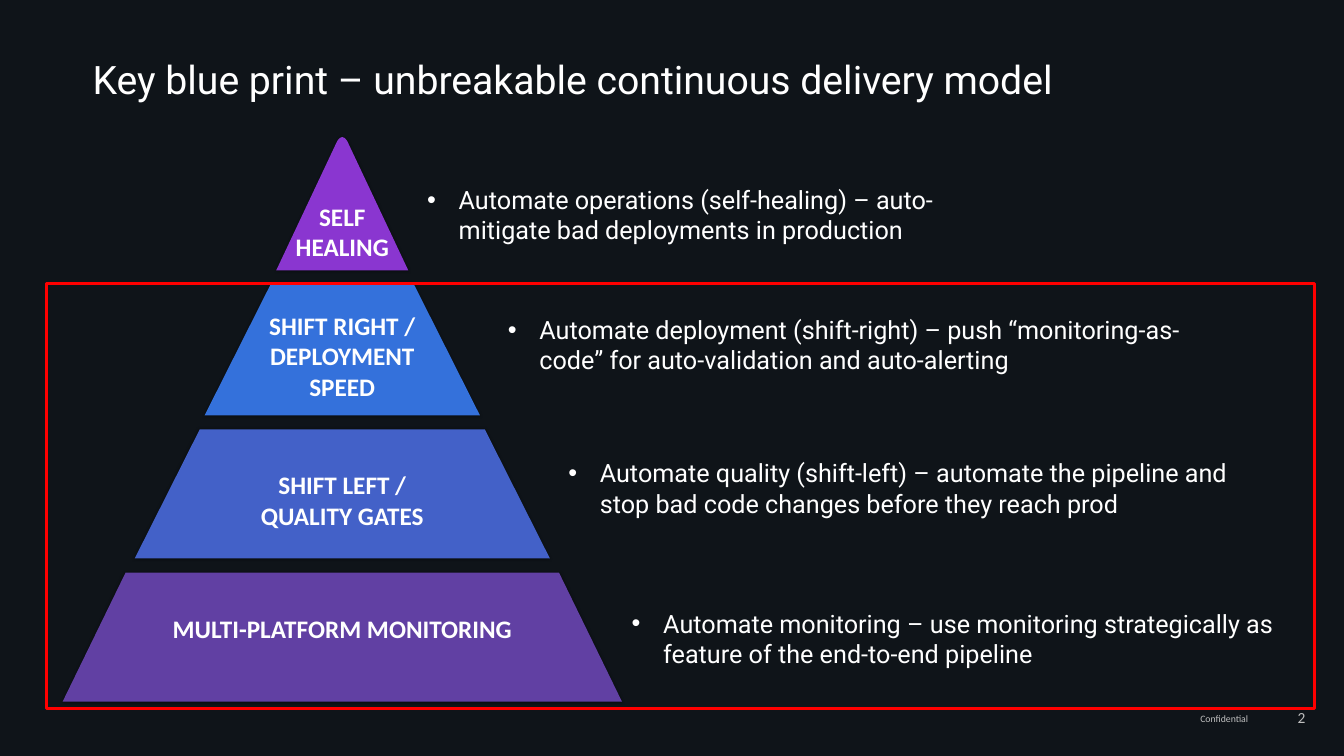
from dataclasses import dataclass

from lxml import etree
from pptx import Presentation
from pptx.dml.color import RGBColor
from pptx.enum.shapes import MSO_SHAPE
from pptx.enum.text import MSO_ANCHOR, PP_ALIGN
from pptx.oxml.ns import qn
from pptx.util import Pt

TRAPEZOID, RECTANGLE = MSO_SHAPE.TRAPEZOID, MSO_SHAPE.RECTANGLE
LEFT, CENTER, RIGHT = PP_ALIGN.LEFT, PP_ALIGN.CENTER, PP_ALIGN.RIGHT
MIDDLE = MSO_ANCHOR.MIDDLE

NIGHT = RGBColor(0x0F, 0x14, 0x19)
WHITE = RGBColor(0xFF, 0xFF, 0xFF)
GREY = RGBColor(0xBF, 0xBF, 0xBF)
RED = RGBColor(0xFF, 0x00, 0x00)
VIOLET = RGBColor(0x8A, 0x36, 0xD0)
BLUE = RGBColor(0x34, 0x71, 0xDB)
INDIGO = RGBColor(0x43, 0x61, 0xC8)
PURPLE = RGBColor(0x61, 0x40, 0xA3)

PYRAMID_CENTER = 244.5
LABEL_FONT, BODY_FONT = "Calibri", "Roboto"
BULLET_INDENT = Pt(22.5)


@dataclass
class Tier:
    """One pyramid level; label_drop and note_drop are measured from its top."""
    label: str
    note: str
    fill: RGBColor
    top: float
    width: float
    height: float
    slant: float
    label_drop: float
    label_width: float
    note_left: float
    note_drop: float
    note_width: float


TIERS = [
    Tier("MULTI-PLATFORM MONITORING",
         "Automate monitoring – use monitoring strategically as feature of the end-to-end pipeline",
         PURPLE, 409, 399.6, 92.2, 0.488, 25.2, 310, 444.2, 21.6, 506.2),
    Tier("SHIFT LEFT /\nQUALITY GATES",
         "Automate quality (shift-left) – automate the pipeline and stop bad code changes before they reach prod",
         INDIGO, 306.7, 296.6, 92.2, 0.504, 25.2, 240, 398.9, 16.6, 506.2),
    Tier("SHIFT RIGHT /\nDEPLOYMENT SPEED",
         "Automate deployment (shift-right) – push “monitoring-as-code” for auto-validation and auto-alerting",
         BLUE, 202.3, 196.6, 94.3, 0.504, 15.9, 144, 355.7, 18.7, 506.2),
    Tier("SELF HEALING",
         "Automate operations (self-healing) – auto-mitigate bad deployments in production",
         VIOLET, 97.9, 94.4, 95.3, 0, 42.5, 81.4, 298.1, 30.3, 434.9),
]


def format_text(frame, text, font, size, color, align, bold=False, spacing=None):
    frame.word_wrap = True
    frame.text = text
    for para in frame.paragraphs:
        para.alignment = align
        if spacing:
            para.line_spacing = spacing
        for span in para.runs:
            span.font.name, span.font.size = font, Pt(size)
            span.font.bold, span.font.color.rgb = bold, color


def add_text(page, left, top, width, height, *text_format, **options):
    box = page.shapes.add_textbox(Pt(left), Pt(top), Pt(width), Pt(height))
    format_text(box.text_frame, *text_format, **options)
    return box


def add_halo(shape):
    """Give the shape a faint, centred black shadow."""
    shape.shadow.inherit = False
    effects = shape._element.spPr.find(qn("a:effectLst"))
    shadow = etree.SubElement(effects, qn("a:outerShdw"), blurRad=str(Pt(2)),
                              dist="0", dir="0", algn="ctr", rotWithShape="0")
    color = etree.SubElement(shadow, qn("a:srgbClr"), val="000000")
    etree.SubElement(color, qn("a:alpha"), val="40000")


def build_peak(page, top, width, height):
    """Draw the triangle with a softly rounded tip."""
    half = width / 2
    right_side = [(1.6, 0.6), (2.6, 1.6), (3.6, 2.9), (half, height)]
    left_side = [(-x, y) for x, y in reversed(right_side)]
    outline = [(Pt(PYRAMID_CENTER + x), Pt(top + y)) for x, y in right_side + left_side]
    builder = page.shapes.build_freeform(Pt(PYRAMID_CENTER), Pt(top))
    builder.add_line_segments(outline, close=True)
    return builder.convert_to_shape()


def add_level(page, tier):
    if tier.slant:
        level = page.shapes.add_shape(
            TRAPEZOID, Pt(PYRAMID_CENTER - tier.width / 2), Pt(tier.top),
            Pt(tier.width), Pt(tier.height))
        level.adjustments[0] = tier.slant
    else:
        level = build_peak(page, tier.top, tier.width, tier.height)
    level.fill.solid()
    level.fill.fore_color.rgb = tier.fill
    level.line.fill.background()
    add_halo(level)

    label = add_text(page, PYRAMID_CENTER - tier.label_width / 2,
                     tier.top + tier.label_drop, tier.label_width, 51,
                     tier.label, LABEL_FONT, 18, WHITE, CENTER, bold=True)
    label.text_frame.margin_left = label.text_frame.margin_right = 0


def add_note(page, tier):
    note = add_text(page, tier.note_left, tier.top + tier.note_drop, tier.note_width, 51,
                    tier.note, BODY_FONT, 18, WHITE, LEFT)
    properties = note.text_frame.paragraphs[0]._p.get_or_add_pPr()
    properties.set("marL", str(BULLET_INDENT))
    properties.set("indent", str(-BULLET_INDENT))
    etree.SubElement(properties, qn("a:buFont"), typeface="Arial")
    etree.SubElement(properties, qn("a:buChar"), char="•")


def place_title(page, left, top, width, height):
    title = page.shapes.title
    title.left, title.top, title.width, title.height = map(Pt, (left, top, width, height))
    title.text_frame.vertical_anchor = MIDDLE
    format_text(title.text_frame, "Key blue print – unbreakable continuous delivery model",
                BODY_FONT, 28, WHITE, LEFT, spacing=1.2)


def add_footer(page):
    add_text(page, 910.8, 499.7, 28.8, 22.3, "2", LABEL_FONT, 11, GREY, RIGHT, spacing=1.2)
    add_text(page, 808.6, 504, 90, 16.6, "Confidential", LABEL_FONT, 7, GREY, RIGHT, spacing=1.2)


def add_highlight(page, left, top, width, height):
    frame = page.shapes.add_shape(RECTANGLE, Pt(left), Pt(top), Pt(width), Pt(height))
    frame.shadow.inherit = False
    frame.fill.background()
    frame.line.color.rgb = RED
    frame.line.width = Pt(2.25)


def main():
    deck = Presentation()
    deck.slide_width, deck.slide_height = Pt(960), Pt(540)
    page = deck.slides.add_slide(deck.slide_layouts[5])
    page.background.fill.solid()
    page.background.fill.fore_color.rgb = NIGHT

    place_title(page, 59, 23.8, 828, 58.3)
    add_footer(page)
    for tier in TIERS:
        add_level(page, tier)
        add_note(page, tier)
    add_highlight(page, 33.1, 202.3, 905.8, 303.8)
    deck.save("out.pptx")


if __name__ == "__main__":
    main()
